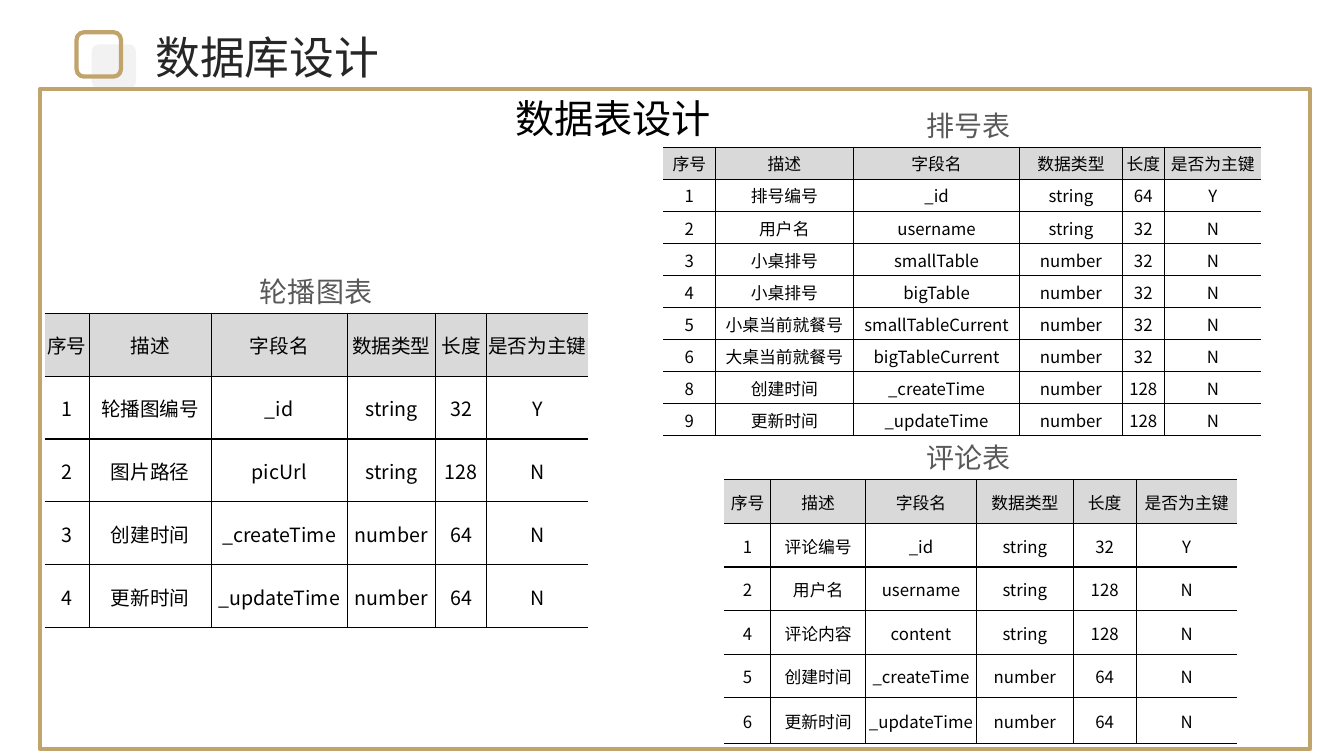
from lxml.etree import SubElement
from pptx import Presentation
from pptx.dml.color import RGBColor
from pptx.enum.shapes import MSO_SHAPE
from pptx.enum.text import MSO_ANCHOR, MSO_AUTO_SIZE, PP_ALIGN
from pptx.oxml import parse_xml
from pptx.oxml.ns import nsdecls, qn
from pptx.util import Inches, Pt

COLORS = {"gold": "C1A36C", "pale": "F2F2F2", "title": "262626",
          "caption": "595959", "black": "000000", "header": "D9D9D9"}
CJK_FONT = "Noto Sans CJK SC"

deck = Presentation()
deck.slide_width, deck.slide_height = Inches(13.33), Inches(7.5)
ROW_COUNT = 75


def grid(*cells):
    return [round(cell * deck.slide_height / ROW_COUNT) for cell in cells]


def write(frame, text, size, color, font=CJK_FONT, align=PP_ALIGN.CENTER):
    para = frame.paragraphs[0]
    para.alignment = align
    span = para.add_run()
    span.text = text
    span.font.size = Pt(size)
    span.font.name = font
    span.font.color.rgb = RGBColor.from_string(COLORS[color])
    SubElement(span.font._element, qn("a:ea")).set("typeface", CJK_FONT)


page = deck.slides.add_slide(deck.slide_layouts[5])

title = page.shapes.title
title.left, title.top, title.width, title.height = grid(14.4, 2.4, 24.5, 6.4)
title.text_frame.auto_size = MSO_AUTO_SIZE.NONE
title.text_frame.word_wrap = False
title.text_frame.vertical_anchor = MSO_ANCHOR.MIDDLE
write(title.text_frame, "数据库设计", 32, "title", align=PP_ALIGN.LEFT)

icon = page.shapes.add_group_shape()
outlines = [
    (icon.shapes, MSO_SHAPE.ROUNDED_RECTANGLE, (9.1, 4.4, 4.4, 4.4), "pale", None),
    (icon.shapes, MSO_SHAPE.ROUNDED_RECTANGLE, (7.6, 3.2, 4.4, 4.4), None, "gold"),
    (page.shapes, MSO_SHAPE.RECTANGLE, (4, 8.8, 125.9, 65.5), None, "gold"),
]
for shapes, kind, place, fill, line in outlines:
    shape = shapes.add_shape(kind, *grid(*place))
    shape.shadow.inherit = False
    if fill:
        shape.fill.solid()
        shape.fill.fore_color.rgb = RGBColor.from_string(COLORS[fill])
    else:
        shape.fill.background()
    if line:
        shape.line.color.rgb = RGBColor.from_string(COLORS[line])
        shape.line.width = Pt(3)
    else:
        shape.line.fill.background()

headings = [
    ("数据表设计", (5.5, 8.8, 110.6, 5.7), 28, "black", CJK_FONT),
    ("轮播图表", (1, 26.7, 60.7, 4.4), 20, "caption", "Arial"),
    ("排号表", (65.7, 10.2, 60.7, 4.4), 20, "caption", "Arial"),
    ("评论表", (65.7, 43.2, 60.7, 4.4), 20, "caption", "Arial"),
]
for text, place, size, color, font in headings:
    box = page.shapes.add_textbox(*grid(*place))
    frame = box.text_frame
    frame.word_wrap = True
    frame.margin_top = frame.margin_bottom = 0
    frame.vertical_anchor = MSO_ANCHOR.MIDDLE
    write(frame, text, size, color, font)

HEADER = ("序号", "描述", "字段名", "数据类型", "长度", "是否为主键")
tables = [
    ((4.45, 31.1), (4.4, 12.1, 13.5, 8.75, 5.1, 10), (6.23, 6.23), 14, [
        ("1", "轮播图编号", "_id", "string", "32", "Y"),
        ("2", "图片路径", "picUrl", "string", "128", "N"),
        ("3", "创建时间", "_createTime", "number", "64", "N"),
        ("4", "更新时间", "_updateTime", "number", "64", "N"),
    ]),
    ((65.8, 14.6), (5.15, 13.7, 16.5, 10.15, 4.2, 9.6), (3.18, 3.18), 12, [
        ("1", "排号编号", "_id", "string", "64", "Y"),
        ("2", "用户名", "username", "string", "32", "N"),
        ("3", "小桌排号", "smallTable", "number", "32", "N"),
        ("4", "小桌排号", "bigTable", "number", "32", "N"),
        ("5", "小桌当前就餐号", "smallTableCurrent", "number", "32", "N"),
        ("6", "大桌当前就餐号", "bigTableCurrent", "number", "32", "N"),
        ("8", "创建时间", "_createTime", "number", "128", "N"),
        ("9", "更新时间", "_updateTime", "number", "128", "N"),
    ]),
    ((71.85, 47.6), (4.6, 9.4, 11, 9.6, 6.25, 10), (4.33, 4.53), 12, [
        ("1", "评论编号", "_id", "string", "32", "Y"),
        ("2", "用户名", "username", "string", "128", "N"),
        ("4", "评论内容", "content", "string", "128", "N"),
        ("5", "创建时间", "_createTime", "number", "64", "N"),
        ("6", "更新时间", "_updateTime", "number", "64", "N"),
    ]),
]
for corner, widths, (row_height, last_height), size, records in tables:
    rows = [HEADER] + records
    heights = [row_height] * len(records) + [last_height]
    table = page.shapes.add_table(
        len(rows), len(HEADER), *grid(*corner, sum(widths), sum(heights))).table
    table.first_row = table.horz_banding = False
    for column, width in zip(table.columns, grid(*widths)):
        column.width = width
    for table_row, height in zip(table.rows, grid(*heights)):
        table_row.height = height
    for row_index, row in enumerate(rows):
        for column_index, text in enumerate(row):
            cell = table.cell(row_index, column_index)
            cell.vertical_anchor = MSO_ANCHOR.MIDDLE
            cell.margin_left = cell.margin_right = cell.margin_top = Inches(0.01)
            cell.margin_bottom = 0
            write(cell.text_frame, text, size, "black")
            if row_index == 0:
                cell.fill.solid()
                cell.fill.fore_color.rgb = RGBColor.from_string(COLORS["header"])
            else:
                cell.fill.background()
            open_sides = {0: "L", len(HEADER) - 1: "R"}
            for order, side in enumerate("LRTB"):
                if open_sides.get(column_index) == side:
                    paint = "<a:noFill/>"
                else:
                    paint = f'<a:solidFill><a:srgbClr val="{COLORS["black"]}"/></a:solidFill>'
                border = f'<a:ln{side} {nsdecls("a")} w="{Pt(1)}">{paint}</a:ln{side}>'
                cell._tc.get_or_add_tcPr().insert(order, parse_xml(border))

deck.save("out.pptx")
